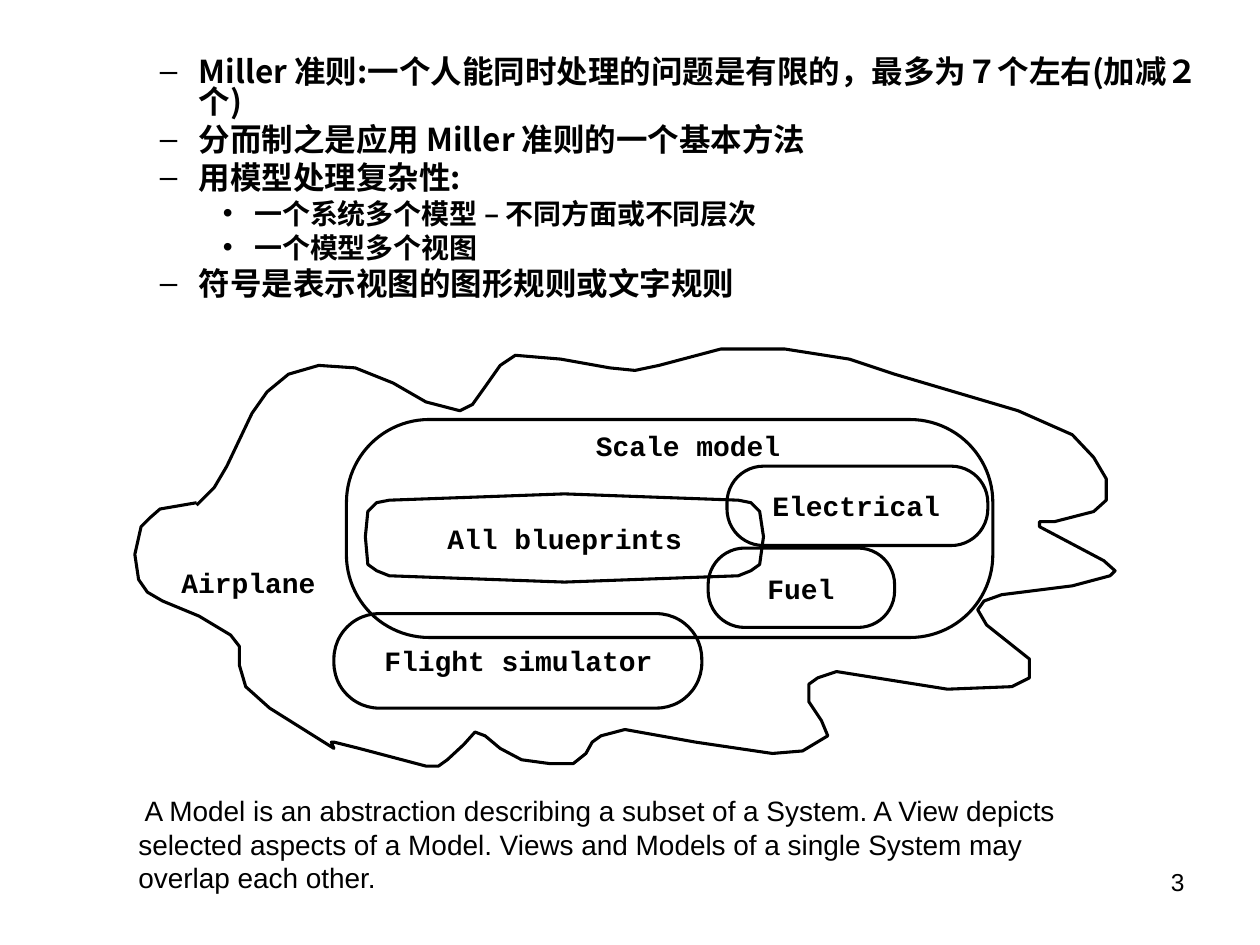
from lxml.etree import SubElement
from pptx import Presentation
from pptx.dml.color import RGBColor
from pptx.enum.shapes import MSO_SHAPE
from pptx.enum.text import MSO_AUTO_SIZE, PP_ALIGN
from pptx.oxml.ns import qn
from pptx.util import Pt

SCALE = 9144
BLACK = "000000"
WHITE = "FFFFFF"
SANS = "Arial"
MONO = "Courier New"
CHINESE = "Noto Sans CJK SC"

presentation = Presentation()
presentation.slide_width = 1000 * SCALE
presentation.slide_height = 750 * SCALE
slide = presentation.slides.add_slide(presentation.slide_layouts[6])


def add_text_box(box, inset_x, inset_y, wrap):
    shape = slide.shapes.add_textbox(*[value * SCALE for value in box])
    frame = shape.text_frame
    frame.word_wrap = wrap
    frame.auto_size = MSO_AUTO_SIZE.NONE
    frame.margin_left = frame.margin_right = inset_x * SCALE
    frame.margin_top = frame.margin_bottom = inset_y * SCALE
    return frame


def add_run(paragraph, text, font, size, bold=False):
    run = paragraph.add_run()
    run.text = text
    run.font.name = font
    run.font.size = Pt(size)
    run.font.bold = bold
    run.font.color.rgb = RGBColor.from_string(BLACK)
    if font == CHINESE:
        SubElement(run.font._element, qn("a:ea"), typeface=font)


page_number = add_text_box((717, 683, 233, 52), 10, 5, True).paragraphs[0]
page_number.alignment = PP_ALIGN.RIGHT
add_run(page_number, "3", SANS, 14)

levels = {
    1: {"bullet": "–", "margin": 81, "indent": -31, "size": 18, "before": 4.5},
    2: {"bullet": "•", "margin": 125, "indent": -25, "size": 16, "before": 4},
}
principles = [
    (1, [("Miller 准则:一个人能同时处理的问题是有限的，最多为７个左右(加减２个)", CHINESE)]),
    (1, [("分而制之是应用 Miller 准则的一个基本方法", CHINESE)]),
    (1, [("用模型处理复杂性:", CHINESE)]),
    (2, [("一个系统多个模型 ", CHINESE), ("– ", SANS), ("不同方面或不同层次", CHINESE)]),
    (2, [("一个模型多个视图", CHINESE)]),
    (1, [("符号是表示视图的图形规则或文字规则", CHINESE)]),
]
principles_frame = add_text_box((67, 42, 900, 208), 10, 5, True)
for index, (level, runs) in enumerate(principles):
    style = levels[level]
    paragraph = principles_frame.add_paragraph() if index else principles_frame.paragraphs[0]
    paragraph.level = level
    paragraph.line_spacing = 0.8
    if index:
        paragraph.space_before = Pt(style["before"])
    properties = paragraph._p.get_or_add_pPr()
    properties.set("marL", str(style["margin"] * SCALE))
    properties.set("indent", str(style["indent"] * SCALE))
    bullet_color = SubElement(properties, qn("a:buClr"))
    SubElement(bullet_color, qn("a:srgbClr"), val=BLACK)
    SubElement(properties, qn("a:buFont"), typeface=SANS)
    SubElement(properties, qn("a:buChar"), char=style["bullet"])
    for text, font in runs:
        add_run(paragraph, text, font, style["size"], True)

airplane_points = [
    (156, 401), (170, 387), (180, 370), (200, 328), (212, 311), (229, 297), (253, 290),
    (282, 292), (312, 304), (338, 319), (365, 326), (375, 321), (385, 307), (397, 290),
    (409, 282), (445, 285), (484, 292), (504, 294), (523, 290), (572, 277), (623, 277),
    (674, 285), (710, 297), (808, 326), (851, 345), (868, 363), (878, 380), (878, 397),
    (868, 406), (837, 414), (825, 414), (825, 418), (876, 445), (885, 453), (881, 457),
    (851, 465), (795, 472), (781, 477), (776, 484), (783, 496), (817, 523), (817, 538),
    (803, 545), (752, 547), (664, 533), (649, 538), (642, 543), (642, 557), (652, 572),
    (657, 584), (637, 596), (613, 598), (552, 589), (496, 579), (477, 584), (470, 589),
    (465, 598), (455, 606), (436, 606), (414, 603), (397, 594), (385, 584), (377, 581),
    (368, 591), (355, 603), (348, 608), (338, 608), (285, 594), (265, 589), (263, 589),
    (265, 594), (214, 562), (195, 545), (190, 528), (190, 513), (183, 504), (158, 489),
    (129, 477), (117, 470), (110, 460), (107, 440), (112, 418), (119, 411), (127, 404),
    (156, 399),
]
blueprint_points = [
    (290, 426), (292, 406), (299, 399), (309, 397), (448, 392), (586, 397), (596, 399),
    (603, 406), (606, 426), (603, 448), (596, 453), (586, 457), (448, 462), (309, 457),
    (299, 453), (292, 448),
]
outlines = [
    ("free", airplane_points, False),
    ("round", (275, 333, 513, 173), 0.38),
    ("free", blueprint_points, True),
    ("round", (577, 370, 207, 63), 0.46),
    ("round", (562, 435, 148, 63), 0.46),
    ("round", (265, 487, 292, 75), 0.48),
]
for kind, geometry, detail in outlines:
    if kind == "free":
        builder = slide.shapes.build_freeform(*geometry[0], scale=SCALE)
        builder.add_line_segments(geometry[1:], close=detail)
        shape = builder.convert_to_shape()
    else:
        box = [value * SCALE for value in geometry]
        shape = slide.shapes.add_shape(MSO_SHAPE.ROUNDED_RECTANGLE, *box)
        shape.adjustments[0] = detail
    shape.shadow.inherit = False
    shape.line.color.rgb = RGBColor.from_string(BLACK)
    shape.line.width = Pt(1.75)
    if geometry is blueprint_points:
        shape.fill.solid()
        shape.fill.fore_color.rgb = RGBColor.from_string(WHITE)
    else:
        shape.fill.background()

labels = [
    ("Airplane", 144, 449, 108),
    ("All blueprints", 355, 414, 188),
    ("Scale model", 473, 340, 148),
    ("Electrical", 613, 388, 135),
    ("Fuel", 609, 454, 55),
    ("Flight simulator", 305, 511, 215),
]
for text, left, top, width in labels:
    frame = add_text_box((left, top, width, 27), 0, 0, False)
    add_run(frame.paragraphs[0], text, MONO, 16, True)
    frame.paragraphs[0].alignment = PP_ALIGN.LEFT

summary_frame = add_text_box((100, 625, 800, 90), 10, 5, True)
summary_frame.auto_size = MSO_AUTO_SIZE.SHAPE_TO_FIT_TEXT
add_run(
    summary_frame.paragraphs[0],
    " A Model is an abstraction describing a subset of a System. A View depicts "
    "selected aspects of a Model. Views and Models of a single System may "
    "overlap each other.",
    SANS,
    16,
)

presentation.save("out.pptx")
